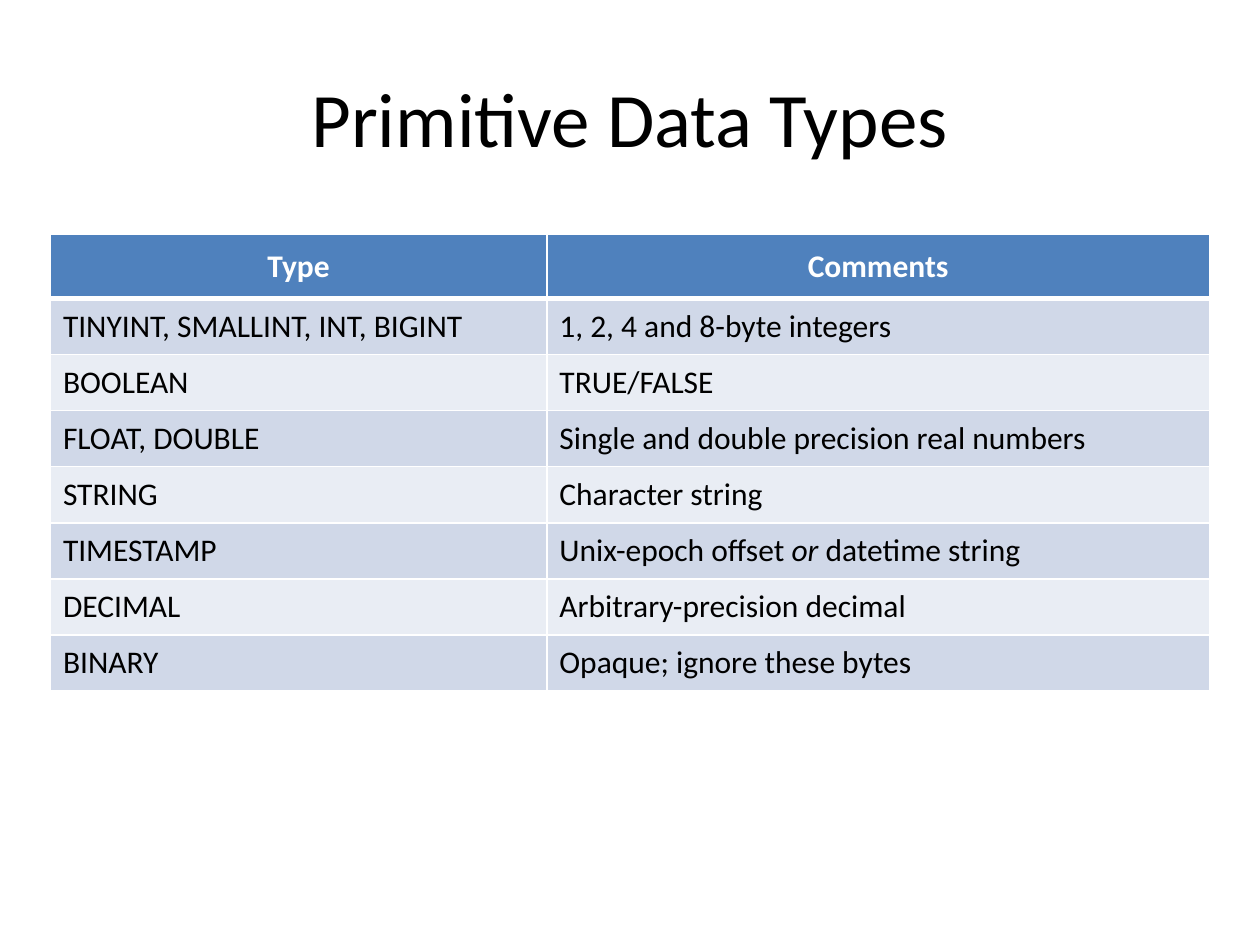
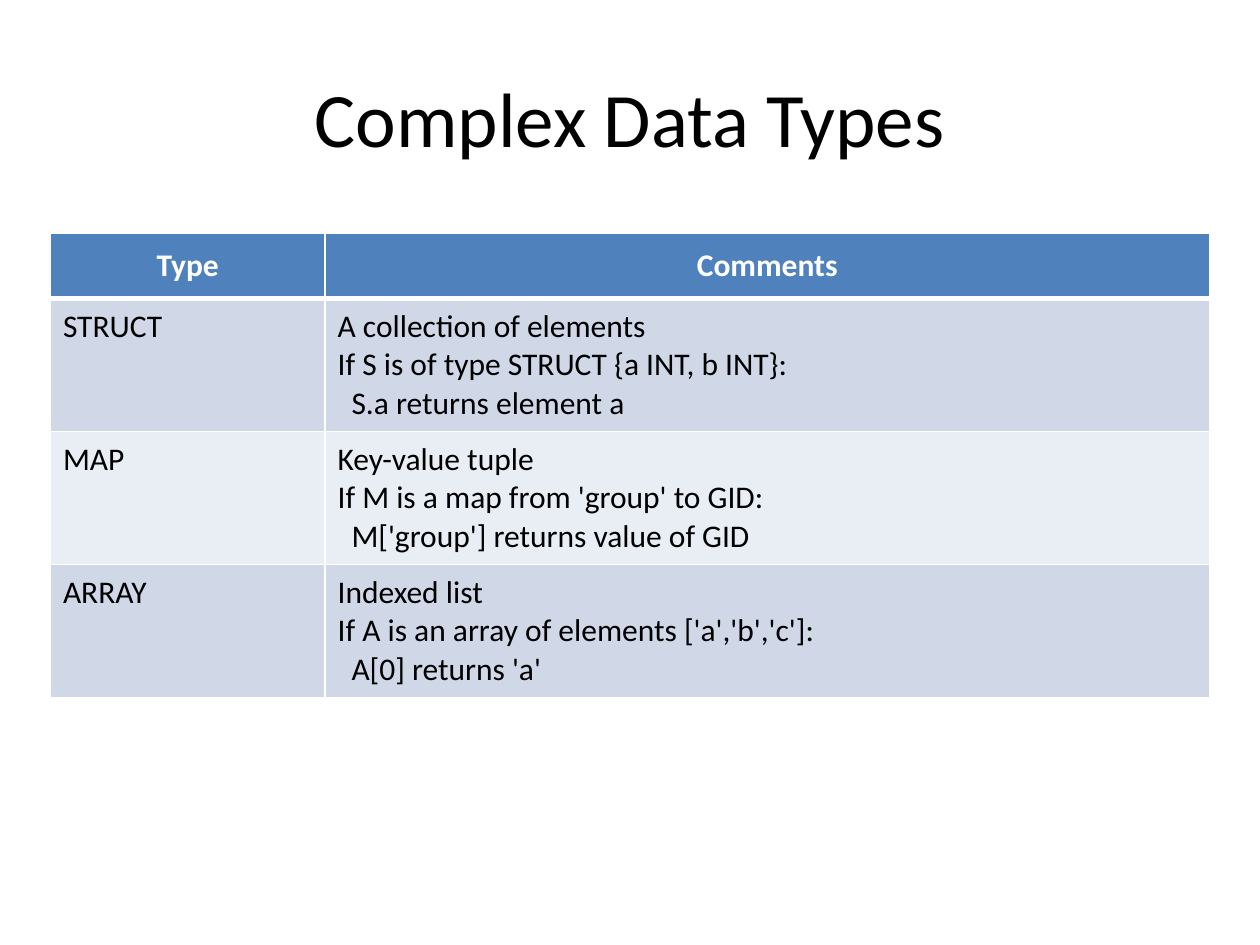
from lxml.etree import SubElement as Sub
from pptx import Presentation
from pptx.dml.color import RGBColor as RGB
from pptx.enum.text import MSO_ANCHOR as Anchor, PP_ALIGN as Align
from pptx.oxml.ns import qn
from pptx.util import Inches, Pt

FACE = "Calibri"
BLACK = RGB(0, 0, 0)
WHITE = RGB(255, 255, 255)
BLUE = RGB(0x4F, 0x81, 0xBD)
BANDS = RGB(0xD0, 0xD8, 0xE8), RGB(0xE9, 0xED, 0xF4)

WIDE, HIGH = 10, 7.5
LEFT = 0.04 * WIDE
SPAN = WIDE - 2 * LEFT
BODY = 2.37  # line on which both header rows end
INDENT = 0.11

TITLE = dict(name=FACE, size=Pt(44), bold=False)
HEAD = dict(name=FACE, size=Pt(18), bold=True)
TEXT = dict(name=FACE, size=Pt(18), bold=False)
PADS = dict(margin_left=Inches(0.1), margin_right=Inches(0.1),
            margin_top=Inches(0.07), margin_bottom=Inches(0.07))
HEADS = "Type", "Comments"

PRIMITIVE = [
    ("TINYINT, SMALLINT, INT, BIGINT", "1, 2, 4 and 8-byte integers"),
    ("BOOLEAN", "TRUE/FALSE"),
    ("FLOAT, DOUBLE", "Single and double precision real numbers"),
    ("STRING", "Character string"),
    ("TIMESTAMP", "Unix-epoch offset *or *datetime string"),
    ("DECIMAL", "Arbitrary-precision decimal"),
    ("BINARY", "Opaque; ignore these bytes"),
]
COMPLEX = [
    ("STRUCT", "A collection of elements\n"
               "If S is of type STRUCT {a INT, b INT}:\n\tS.a returns element a"),
    ("MAP", "Key-value tuple\n"
            "If M is a map from 'group' to GID:\n\tM['group'] returns value of GID"),
    ("ARRAY", "Indexed list\n"
              "If A is an array of elements ['a','b','c']:\n\tA[0] returns 'a'"),
]


def put(item, values):
    for key, value in values.items():
        setattr(item, key, value)


def write(frame, text, style, color, align):
    """Write one paragraph a line; a tab indents it, *stars* set italics."""
    for n, line in enumerate(text.split("\n")):
        para = frame.add_paragraph() if n else frame.paragraphs[0]
        para.alignment = align
        if line.startswith("\t"):
            para._p.get_or_add_pPr().set("marL", str(Inches(INDENT)))
        for k, part in enumerate(line.lstrip("\t").split("*")):
            run = para.add_run()
            run.text = part
            put(run.font, style)
            run.font.italic = k % 2 == 1
            run.font.color.rgb = color


def edge(cell, **widths):
    """Draw white cell borders, their widths in points by side."""
    props = cell._tc.get_or_add_tcPr()
    for side, width in widths.items():
        line = Sub(props, qn("a:ln" + side), w=str(Pt(width)))
        fill = Sub(line, qn("a:solidFill"))
        Sub(fill, qn("a:srgbClr"), val=str(WHITE))


def add_title(slide, text):
    title = slide.shapes.title
    put(title, dict(left=Inches(0.05 * WIDE), top=Inches(0.04 * HIGH),
                    width=Inches(0.9 * WIDE), height=Inches(1.25)))
    title.text_frame.vertical_anchor = Anchor.MIDDLE
    write(title.text_frame, text, TITLE, BLACK, Align.CENTER)


def add_grid(slide, data, first, head, step):
    """Add a table: first column width, header height and row height."""
    rows = [HEADS, *data]
    grid = slide.shapes.add_table(
        len(rows), len(HEADS), Inches(LEFT), Inches(BODY - head),
        Inches(SPAN), Inches(head + step * len(data))).table
    for col, width in zip(grid.columns, (first, SPAN - first)):
        col.width = Inches(width)
    for r, row in enumerate(rows):
        grid.rows[r].height = Inches(step if r else head)
        for c, text in enumerate(row):
            cell = grid.cell(r, c)
            put(cell, PADS)
            edge(cell, L=1, R=1, T=3 if r == 1 else 1, B=1 if r else 3)
            cell.fill.solid()
            cell.fill.fore_color.rgb = BANDS[(r - 1) % 2] if r else BLUE
            if r:
                cell.vertical_anchor = Anchor.TOP
                write(cell.text_frame, text, TEXT, BLACK, Align.LEFT)
            else:
                cell.vertical_anchor = Anchor.MIDDLE
                write(cell.text_frame, text, HEAD, WHITE, Align.CENTER)


def main():
    deck = Presentation()
    deck.slide_width, deck.slide_height = Inches(WIDE), Inches(HIGH)
    for title, data, first, head, step in (
            ("Primitive Data Types", PRIMITIVE, 3.94, 0.51, 0.43),
            ("Complex Data Types", COMPLEX, 2.18, 0.52, 1.03)):
        slide = deck.slides.add_slide(deck.slide_layouts.get_by_name("Title Only"))
        add_title(slide, title)
        add_grid(slide, data, first, head, step)
    deck.save("out.pptx")


if __name__ == "__main__":
    main()
